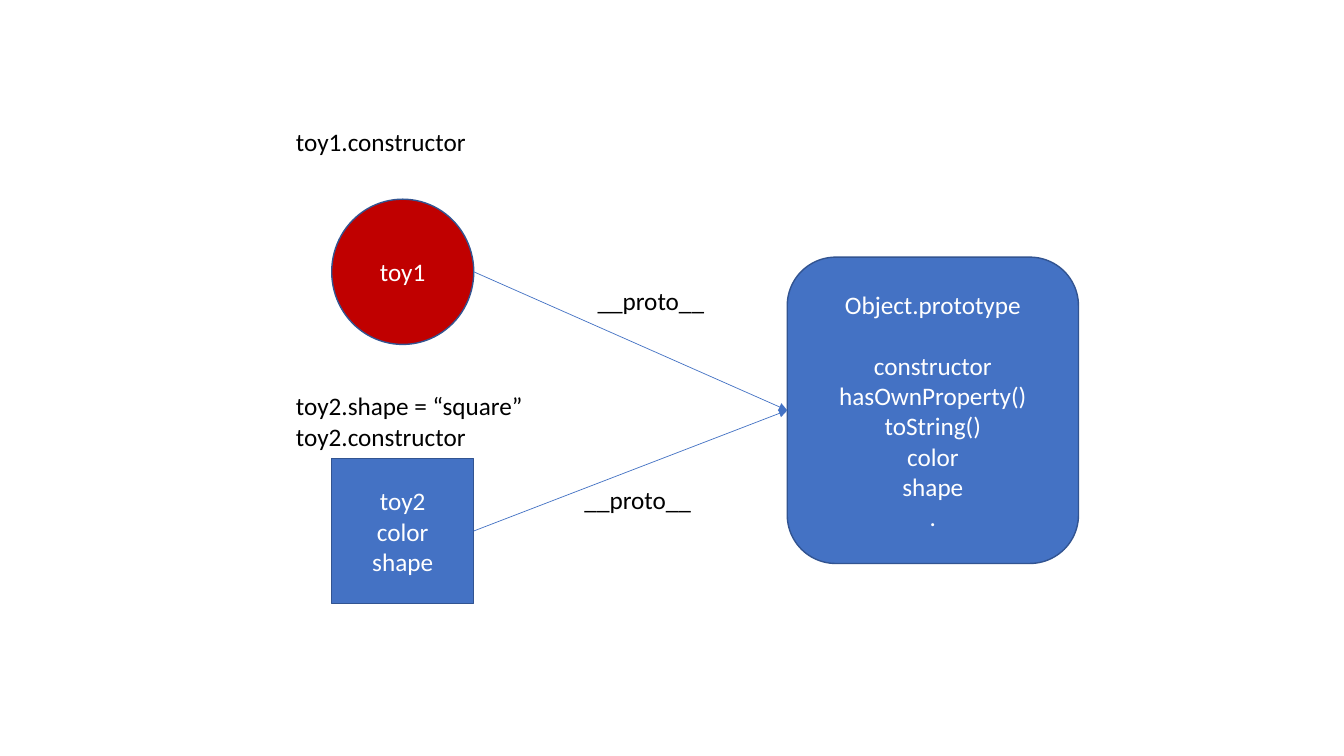
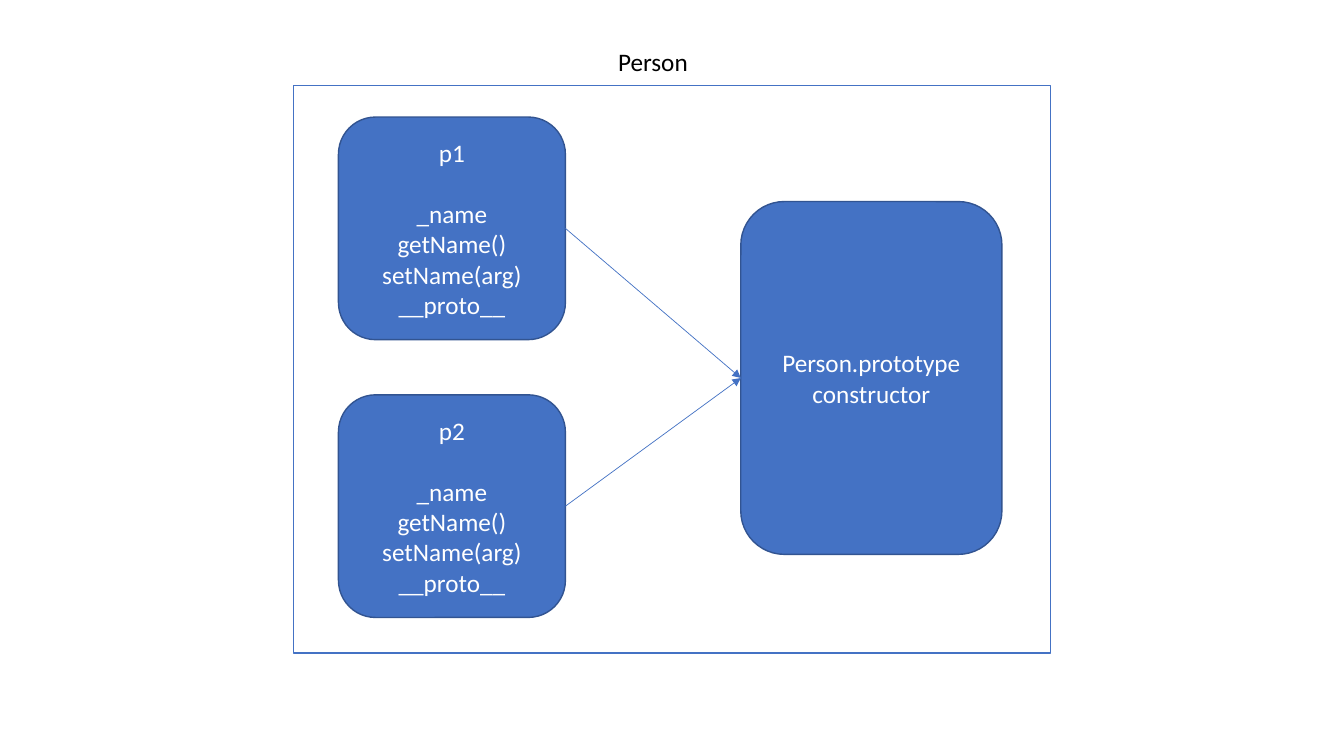
from lxml import etree
from pptx import Presentation
from pptx.dml.color import RGBColor
from pptx.enum.shapes import MSO_CONNECTOR, MSO_SHAPE
from pptx.enum.text import MSO_ANCHOR, PP_ALIGN
from pptx.oxml.ns import qn
from pptx.util import Cm, Pt

BLUE = RGBColor(0x44, 0x72, 0xC4)
NAVY = RGBColor(0x32, 0x54, 0x91)
RED = RGBColor(0xC0, 0x00, 0x00)
WHITE = RGBColor(0xFF, 0xFF, 0xFF)
BLACK = RGBColor(0x00, 0x00, 0x00)

OVAL, RECT, ROUND = MSO_SHAPE.OVAL, MSO_SHAPE.RECTANGLE, MSO_SHAPE.ROUNDED_RECTANGLE
STRAIGHT = MSO_CONNECTOR.STRAIGHT
LEFT, CENTER = PP_ALIGN.LEFT, PP_ALIGN.CENTER
MIDDLE = MSO_ANCHOR.MIDDLE

FONT, SIZE = "Calibri", Pt(18)
GAP = Pt(22)  # one line of space below a heading
WEST, EAST = 1, 3  # connection sites
PROTO = "__proto__"


def write(frame, text, color, align, gap=None):
    """Fill a text frame; gap is the space after its first line."""
    frame.text = text
    for par in frame.paragraphs:
        par.alignment = align
        for run in par.runs:
            run.font.name, run.font.size = FONT, SIZE
            run.font.color.rgb = color
    if gap:
        frame.paragraphs[0].space_after = gap


def add_node(shapes, kind, box, text="", fill=BLUE, line=NAVY, gap=None):
    node = shapes.add_shape(kind, *map(Cm, box))
    node.shadow.inherit = False
    node.fill.solid()
    node.fill.fore_color.rgb = fill
    node.line.color.rgb = line
    node.line.width = Pt(1)
    node.text_frame.vertical_anchor = MIDDLE
    if text:
        write(node.text_frame, text, WHITE, CENTER, gap)
    return node


def add_label(shapes, box, text, align=LEFT):
    label = shapes.add_textbox(*map(Cm, box))
    label.text_frame.word_wrap = False
    write(label.text_frame, text, BLACK, align)


def add_arrow(shapes, start, end):
    """Lead an arrow from the right of start to the left of end."""
    arrow = shapes.add_connector(
        STRAIGHT, start.left + start.width, start.top + start.height // 2,
        end.left, end.top + end.height // 2)
    # Site numbers differ on an oval, so only boxes are joined at the start
    if start.auto_shape_type != OVAL:
        arrow.begin_connect(start, EAST)
    arrow.end_connect(end, WEST)
    arrow.line.color.rgb = BLUE
    arrow.line.width = Pt(0.5)
    line = arrow.line._get_or_add_ln()
    etree.SubElement(line, qn("a:tailEnd"), type="triangle")
    etree.SubElement(arrow._element.spPr, qn("a:effectLst"))


def draw_toys(shapes, x, y):
    """Two toys that share Object.prototype."""
    proto = add_node(
        shapes, ROUND, (x + 12.63, y + 3.41, 7.34, 7.72),
        "Object.prototype\nconstructor\nhasOwnProperty()\ntoString()\n"
        "color\nshape\n.", gap=GAP)
    toys = (
        (OVAL, 1.95, RED, "toy1"),
        (RECT, 8.48, BLUE, "toy2\ncolor\nshape"),
    )
    for kind, top, fill, text in toys:
        toy = add_node(shapes, kind, (x + 1.15, y + top, 3.58, 3.66), text, fill)
        add_arrow(shapes, toy, proto)

    labels = (
        (0, 0, 4.83, 1.02, "toy1.constructor"),
        (0, 6.65, 6.3, 1.8, "toy2.shape = “square”\ntoy2.constructor"),
        (7.6, 3.99, 3.23, 1.02, PROTO),
        (7.27, 9, 3.23, 1.02, PROTO),
    )
    for left, top, width, height, text in labels:
        add_label(shapes, (x + left, y + top, width, height), text)


def draw_person(shapes, x, y, width, height):
    """A framed class with its instances and prototype."""
    add_node(shapes, RECT, (x, y, width, height), fill=WHITE, line=BLUE)
    add_label(shapes, (x + 7.92, y - 1.12, 2.29, 1.02), "Person", CENTER)
    proto = add_node(shapes, ROUND, (x + 11.28, y + 2.92, 6.58, 8.89),
                     "Person.prototype\nconstructor")
    for row, name in enumerate(("p1", "p2")):
        node = add_node(
            shapes, ROUND, (x + 1.14, y + 0.79 + row * 7, 5.72, 5.61),
            f"{name}\n_name\ngetName()\nsetName(arg)\n{PROTO}", gap=GAP)
        add_arrow(shapes, node, proto)


def main():
    deck = Presentation()
    deck.slide_width, deck.slide_height = Cm(33.87), Cm(19.05)
    blank = deck.slide_layouts[6]
    draw_toys(deck.slides.add_slide(blank).shapes, 7.21, 3.07)
    group = deck.slides.add_slide(blank).shapes.add_group_shape()
    draw_person(group.shapes, 7.39, 2.16, 19.08, 14.3)
    deck.save("out.pptx")


if __name__ == "__main__":
    main()
